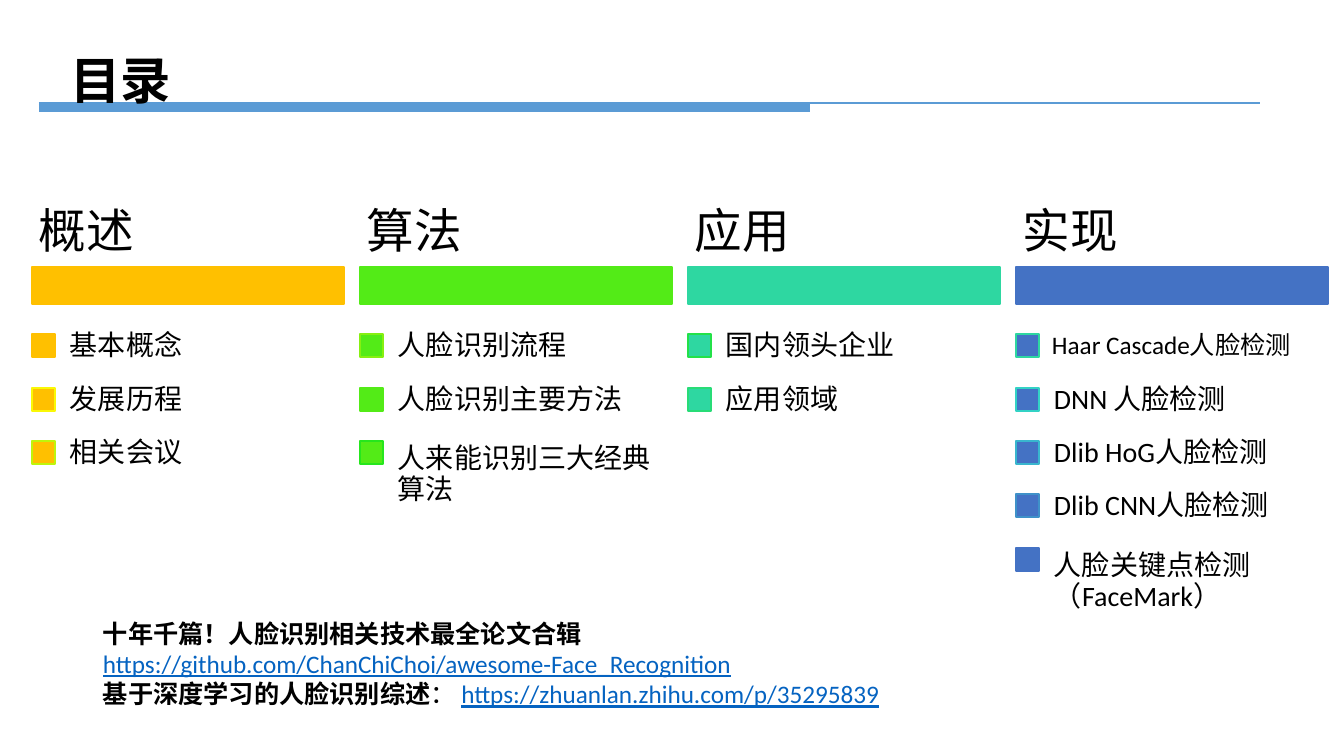
from lxml.etree import SubElement
from pptx import Presentation
from pptx.dml.color import RGBColor
from pptx.enum.shapes import MSO_CONNECTOR, MSO_SHAPE
from pptx.enum.text import MSO_ANCHOR, MSO_AUTO_SIZE, PP_ALIGN
from pptx.oxml.ns import qn
from pptx.util import Pt

TITLE = "目录"
RULE_COLOR, LINK_COLOR, BLACK = "5B9BD5", "0563C1", "000000"
RULES = [(39, 1260, 103, 1.5), (39, 810, 108, 6)]  # left, right, y, points

# heading, colour, items as (text, marker outline)
COLUMNS = [
    ("概述", "FFC000", [("基本概念", "FFC000"), ("发展历程", "FAF806"),
                      ("相关会议", "BEF50C")]),
    ("算法", "53EB17", [("人脸识别流程", "86F011"), ("人脸识别主要方法", "53EB17"),
                      ("人来能识别三大经典算法", "26E61D")]),
    ("应用", "2ED7A1", [("国内领头企业", "23E148"), ("应用领域", "28DC77")]),
    ("实现", "4472C4", [("Haar Cascade人脸检测", "2ED7A1"), ("DNN 人脸检测", "33D2C5"),
                      ("Dlib HoG人脸检测", "39B6CE"), ("Dlib CNN人脸检测", "3F91C9"),
                      ("人脸关键点检测（FaceMark）", "4472C4")]),
]
SMALLER = {"Haar Cascade人脸检测"}
TWO_LINED = {"人来能识别三大经典算法", "人脸关键点检测（FaceMark）"}

# paragraphs of (text, style) runs
REFERENCES = [
    [("十年千篇！人脸识别相关技术最全论文合辑", "bold")],
    [("https://github.com/ChanChiChoi/awesome-Face_Recognition", "link")],
    [("基于深度学习的人脸识别综述", "bold"), ("： ", "plain"),
     ("https://zhuanlan.zhihu.com/p/35295839", "link")],
]

COL_LEFT, COL_STEP, COL_W = 32, 328, 312
HEAD_TOP, HEAD_H = 200, 67
BAR_TOP, BAR_H = 267, 37
ROW_TOP, ROW_STEP, ROW_H = 334, 53.5, 54
MARKER, TEXT_INDENT, TEXT_RISE, TWO_LINE_DROP = 23, 22, 15, 22


def px(n):
    return round(n * 914400 / 100.8)


def rgb(color):
    return RGBColor.from_string(color)


def set_font(font, size, name="Calibri", color=BLACK, bold=False):
    font.size, font.name, font.bold = Pt(size), name, bold
    font.color.rgb = rgb(color)


def add_rule(left, right, y, weight):
    line = slide.shapes.add_connector(
        MSO_CONNECTOR.STRAIGHT, px(left), px(y), px(right), px(y))
    line.line.color.rgb = rgb(RULE_COLOR)
    line.line.width = Pt(weight)
    SubElement(line._element.spPr, qn("a:effectLst"))


def add_block(left, top, width, height, fill, outline):
    sp = slide.shapes.add_shape(
        MSO_SHAPE.RECTANGLE, px(left), px(top), px(width), px(height))
    sp.shadow.inherit = False
    sp.fill.solid()
    sp.fill.fore_color.rgb = rgb(fill)
    sp.line.color.rgb = rgb(outline)
    sp.line.width = Pt(1)


def add_label(text, left, top, width, height, size, inset_x, inset_y):
    box = slide.shapes.add_textbox(px(left), px(top), px(width), px(height))
    tf = box.text_frame
    tf.word_wrap = True
    tf.vertical_anchor = MSO_ANCHOR.MIDDLE
    tf.margin_left = tf.margin_right = px(inset_x)
    tf.margin_top = tf.margin_bottom = px(inset_y)
    p = tf.paragraphs[0]
    p.text = text
    p.line_spacing = 0.9
    set_font(p.font, size)


def add_column(left, heading, color, items):
    add_block(left, BAR_TOP, COL_W, BAR_H, color, color)
    add_label(heading, left, HEAD_TOP, COL_W, HEAD_H, 34, 7, 5)
    for row, (text, outline) in enumerate(items):
        top = round(ROW_TOP + row * ROW_STEP)
        add_block(left, top, MARKER, MARKER, color, outline)
        size, inset = (18, 14) if text in SMALLER else (20, 16)
        drop = TWO_LINE_DROP if text in TWO_LINED else 0
        add_label(text, left + TEXT_INDENT, top - TEXT_RISE + drop,
                  COL_W - TEXT_INDENT, ROW_H, size, inset, inset)


def add_references():
    tf = slide.shapes.add_textbox(px(93), px(613), px(806), px(100)).text_frame
    tf.word_wrap = True
    for i, runs in enumerate(REFERENCES):
        p = tf.paragraphs[0] if i == 0 else tf.add_paragraph()
        for text, style in runs:
            r = p.add_run()
            r.text = text
            is_link = style == "link"
            set_font(r.font, 18, color=LINK_COLOR if is_link else BLACK,
                     bold=style == "bold")
            r.font.underline = is_link


prs = Presentation()
prs.slide_width, prs.slide_height = px(1344), px(756)
slide = prs.slides.add_slide(prs.slide_layouts[5])

for rule in RULES:
    add_rule(*rule)

title = slide.shapes.title
title.left, title.top, title.width, title.height = px(60), px(36), px(1123), px(71)
tf = title.text_frame
tf.text = TITLE
tf.auto_size = MSO_AUTO_SIZE.NONE
tf.vertical_anchor = MSO_ANCHOR.MIDDLE
p = tf.paragraphs[0]
p.alignment = PP_ALIGN.LEFT
p.line_spacing = 1.25
set_font(p.font, 36, "Arial", bold=True)
slide.shapes._spTree.append(title._element)  # in front of the rules

for col, (heading, color, items) in enumerate(COLUMNS):
    add_column(COL_LEFT + col * COL_STEP, heading, color, items)
add_references()

prs.save("out.pptx")
